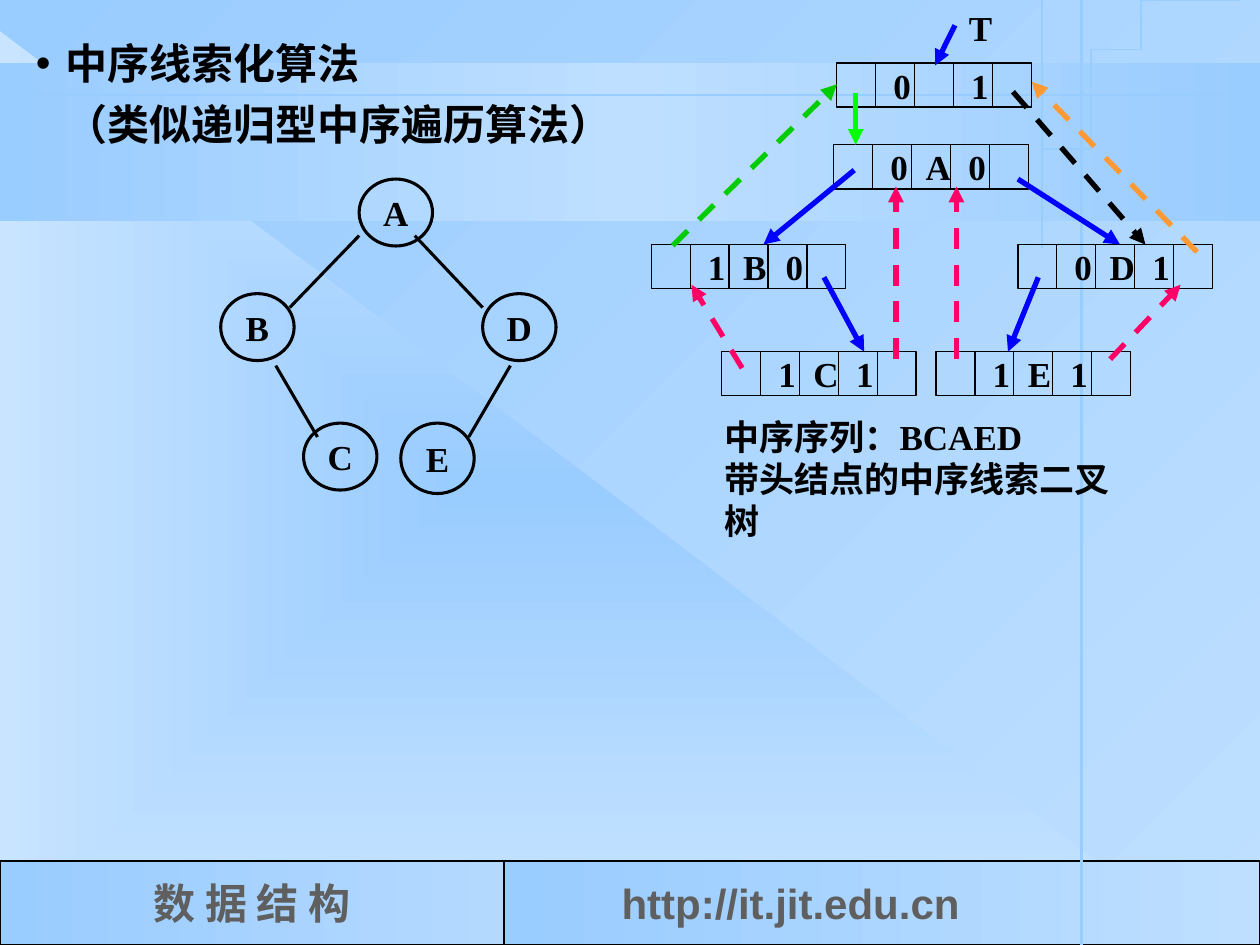
from math import cos, pi, sin

from lxml.etree import SubElement as Sub
from pptx import Presentation
from pptx.dml.color import RGBColor as RGB
from pptx.enum.dml import MSO_LINE as Dash
from pptx.enum.shapes import MSO_CONNECTOR as Conn, MSO_SHAPE as Geo
from pptx.enum.text import MSO_ANCHOR as Anchor, MSO_AUTO_SIZE as Auto, PP_ALIGN as Align
from pptx.oxml.ns import qn
from pptx.util import Cm, Pt

THEME = {
    "sky": "99CCFF", "pale": "BEDFFF", "mist": "C8E4FF", "haze": "B4D9FF",
    "ink": "000000", "gray": "5F5F5F", "blue": "0000FF", "pink": "FF0066",
    "lime": "00FF00", "green": "00CC00", "orange": "FF9933",
    "serif": "Times New Roman", "sans": "Arial", "big": 24, "small": 20,
}
WIDE, HIGH = 25.4, 19.05

# All places are in centimetres.
HEADS = ["中序线索化算法", "（类似递归型中序遍历算法）"]
NOTES = ["中序序列：BCAED", "带头结点的中序线索二叉树"]

# letter, left, top, height
NODES = [("A", 7.24, 3.61, 1.35), ("B", 4.45, 5.92, 1.35), ("C", 6.12, 8.53, 1.35),
         ("D", 9.73, 5.92, 1.35), ("E", 8.08, 8.53, 1.42)]
EDGES = [(7.24, 4.75, 5.84, 6.2), (8.36, 4.75, 9.73, 6.2),
         (5.56, 7.37, 6.4, 8.81), (10.29, 7.37, 9.45, 8.81)]

# left tag, data, right tag, left, top
CELLS = [("0", "A", "0", 16.81, 2.92), ("1", "B", "0", 13.13, 4.93),
         ("0", "D", "1", 20.52, 4.93), ("1", "C", "1", 14.55, 7.09),
         ("1", "E", "1", 18.87, 7.09), ("0", "", "1", 16.87, 1.27)]
CELL_W, CELL_H, FIELDS = 3.92, 0.89, 5
TABS = (0.71, 1.57)

# colour, dashed, ends
LINKS = [
    ("blue", False, [(19.25, 0.51, 18.85, 1.32), (17.22, 3.43, 15.39, 4.93),
                     (20.52, 3.61, 22.58, 4.93), (16.61, 5.59, 17.42, 7.09),
                     (20.93, 5.59, 20.32, 7.09)]),
    ("pink", True, [(14.96, 7.42, 13.94, 5.74), (18.06, 7.24, 18.06, 3.76),
                    (19.28, 7.24, 19.28, 3.76), (22.38, 7.24, 23.8, 5.74)]),
    ("lime", False, [(17.25, 1.88, 17.25, 2.92)]),
    ("green", True, [(13.56, 4.95, 16.87, 1.7)]),
    ("ink", True, [(20.42, 1.85, 23.09, 4.93)]),
    ("orange", True, [(24.13, 5.08, 20.8, 1.65)]),
]


def rgb(name):
    return RGB.from_string(THEME[name])


def blend(fill, root, names, angle=0, center=False):
    """Fill with evenly spaced colours, along an angle or out from the center."""
    fill.gradient()
    grad = next(root.iter(qn("a:gradFill")))
    grad.clear()
    stops = Sub(grad, qn("a:gsLst"))
    for i, name in enumerate(names):
        stop = Sub(stops, qn("a:gs"), pos=str(100000 * i // (len(names) - 1)))
        Sub(stop, qn("a:srgbClr"), val=THEME[name])
    if center:
        way = Sub(grad, qn("a:path"), path="rect")
        Sub(way, qn("a:fillToRect"), **dict.fromkeys("ltrb", "50000"))
    else:
        Sub(grad, qn("a:lin"), ang=str(angle * 60000), scaled="0")


def style(frame, size="small", color="ink", font="serif"):
    for para in frame.paragraphs:
        for run in para.runs:
            face = run.font
            face.name, face.size, face.bold = THEME[font], Pt(THEME[size]), True
            face.color.rgb = rgb(color)


def add_form(slide, geo, box, line=None):
    form = slide.shapes.add_shape(geo, *map(Cm, box))
    form.shadow.inherit = False
    form.fill.background()
    if line:
        form.line.color.rgb, form.line.width = rgb("ink"), Pt(line)
    else:
        form.line.fill.background()
    return form


def add_line(slide, ends, color="ink", width=1.75, dash=False, arrow=False):
    wire = slide.shapes.add_connector(Conn.STRAIGHT, *map(Cm, ends))
    wire.line.color.rgb, wire.line.width = rgb(color), Pt(width)
    if dash:
        wire.line.dash_style = Dash.DASH
    props = wire._element.spPr
    if arrow:
        Sub(props.find(qn("a:ln")), qn("a:tailEnd"), type="triangle")
    Sub(props, qn("a:effectLst"))


def write(form, text, align=Align.LEFT, left=0.25, wrap=False, **look):
    frame = form.text_frame
    frame.text = text
    frame.word_wrap, frame.vertical_anchor = wrap, Anchor.MIDDLE
    frame.margin_left = Cm(left)
    for para in frame.paragraphs:
        para.alignment = align
    style(frame, **look)


def add_text(slide, box, text):
    form = slide.shapes.add_textbox(*map(Cm, box))
    form.text_frame.text = text
    form.text_frame.word_wrap = False
    style(form.text_frame)


def draw_back(slide):
    back = slide.background
    blend(back.fill, slide._element, ["sky", "pale"], 45)
    wedge = add_form(slide, Geo.RIGHT_TRIANGLE, (0, 0.63, 24.33, 18.42))
    blend(wedge.fill, wedge._element, ["sky", "mist"], center=True)
    band = add_form(slide, Geo.RECTANGLE, (0, 1.27, WIDE, 3.18))
    blend(band.fill, band._element, ["sky", "pale", "sky"])

    top, cut = 17.36, 10.16
    name = add_form(slide, Geo.RECTANGLE, (0, top, cut, HIGH - top), 1.5)
    blend(name.fill, name._element, ["sky", "haze"])
    write(name, "数 据 结 构", Align.CENTER, size="big", color="gray")
    site = add_form(slide, Geo.RECTANGLE, (cut, top, WIDE - cut, HIGH - top), 1.5)
    blend(site.fill, site._element, ["sky", "pale"])
    write(site, "http://it.jit.edu.cn", left=2.37, wrap=True,
          size="big", color="gray", font="sans")

    add_line(slide, (0, 1.91, WIDE, 1.91), "sky", 1)
    add_line(slide, (21.8, 0, 21.8, HIGH), "sky", 1.5)
    mid, rx, ry, steps = 25, 3.84, 4.67, 24
    turns = [pi / 2 * i / steps for i in range(steps + 1)]
    curve = [(mid - rx * sin(t), ry - ry * cos(t)) for t in turns]
    path = slide.shapes.build_freeform(25.2, 0, scale=Cm(1))
    path.add_line_segments(curve + [(21.19, 2.3), (21.31, 0)], close=False)
    arc = path.convert_to_shape()
    arc.shadow.inherit = False
    arc.fill.background()
    arc.line.color.rgb, arc.line.width = rgb("sky"), Pt(1)


def fill_body(slide):
    body = slide.placeholders[1]
    body.left, body.top, body.width, body.height = map(Cm, (0, 0.63, 23.62, 3.78))
    slide.shapes._spTree.append(body._element)  # bring above the backdrop
    frame = body.text_frame
    frame.text = "\n".join(HEADS)
    frame.auto_size = Auto.NONE
    for i, para in enumerate(frame.paragraphs):
        props = para._p.get_or_add_pPr()
        props.set("marL", str(Cm(1.07)))
        props.set("indent", str(Cm(0 if i else -0.6)))
        if i:
            Sub(props, qn("a:buNone"))
        else:
            Sub(props, qn("a:buChar"), char="•")
        para.space_before = Pt(6 if i else 0)
    style(frame, "big")


def draw_cell(slide, low, data, high, x, y):
    """Draw one five-field record of the threaded tree."""
    form = add_form(slide, Geo.RECTANGLE, (x, y, CELL_W, CELL_H), 0.75)
    write(form, f"{low}\t{data}\t{high}", left=1.14, wrap=True)
    form.text_frame.margin_right = 0
    tabs = Sub(form.text_frame.paragraphs[0]._p.get_or_add_pPr(), qn("a:tabLst"))
    for stop in TABS:
        Sub(tabs, qn("a:tab"), pos=str(Cm(stop)), algn="l")
    for i in range(1, FIELDS):
        at = x + CELL_W / FIELDS * i
        add_line(slide, (at, y, at, y + CELL_H), width=0.75)


def main():
    deck = Presentation()
    deck.slide_width, deck.slide_height = Cm(WIDE), Cm(HIGH)
    slide = deck.slides.add_slide(deck.slide_layouts[1])
    title = slide.shapes.title._element
    title.getparent().remove(title)
    draw_back(slide)
    fill_body(slide)
    for name, x, y, high in NODES:
        write(add_form(slide, Geo.OVAL, (x, y, 1.48, high), 1.75), name, Align.CENTER)
    for ends in EDGES:
        add_line(slide, ends)
    for cell in CELLS:
        draw_cell(slide, *cell)
    add_text(slide, (19.28, 0, 0.91, 0.86), "T")
    add_text(slide, (14.35, 8.25, 8.71, 1.52), "\n".join(NOTES))
    for color, dash, group in LINKS:
        for ends in group:
            add_line(slide, ends, color, 3, dash, arrow=True)
    deck.save("out.pptx")


if __name__ == "__main__":
    main()
